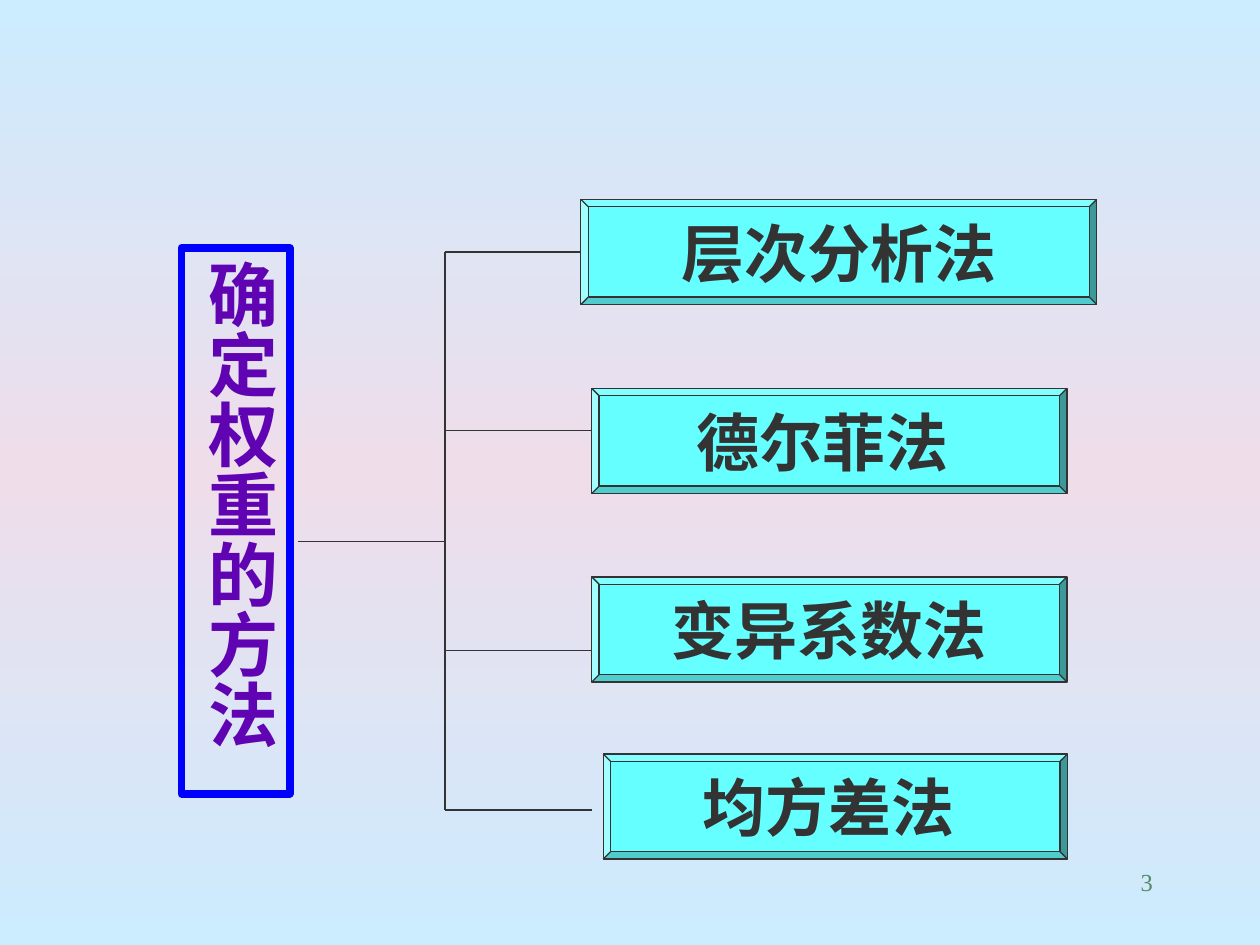
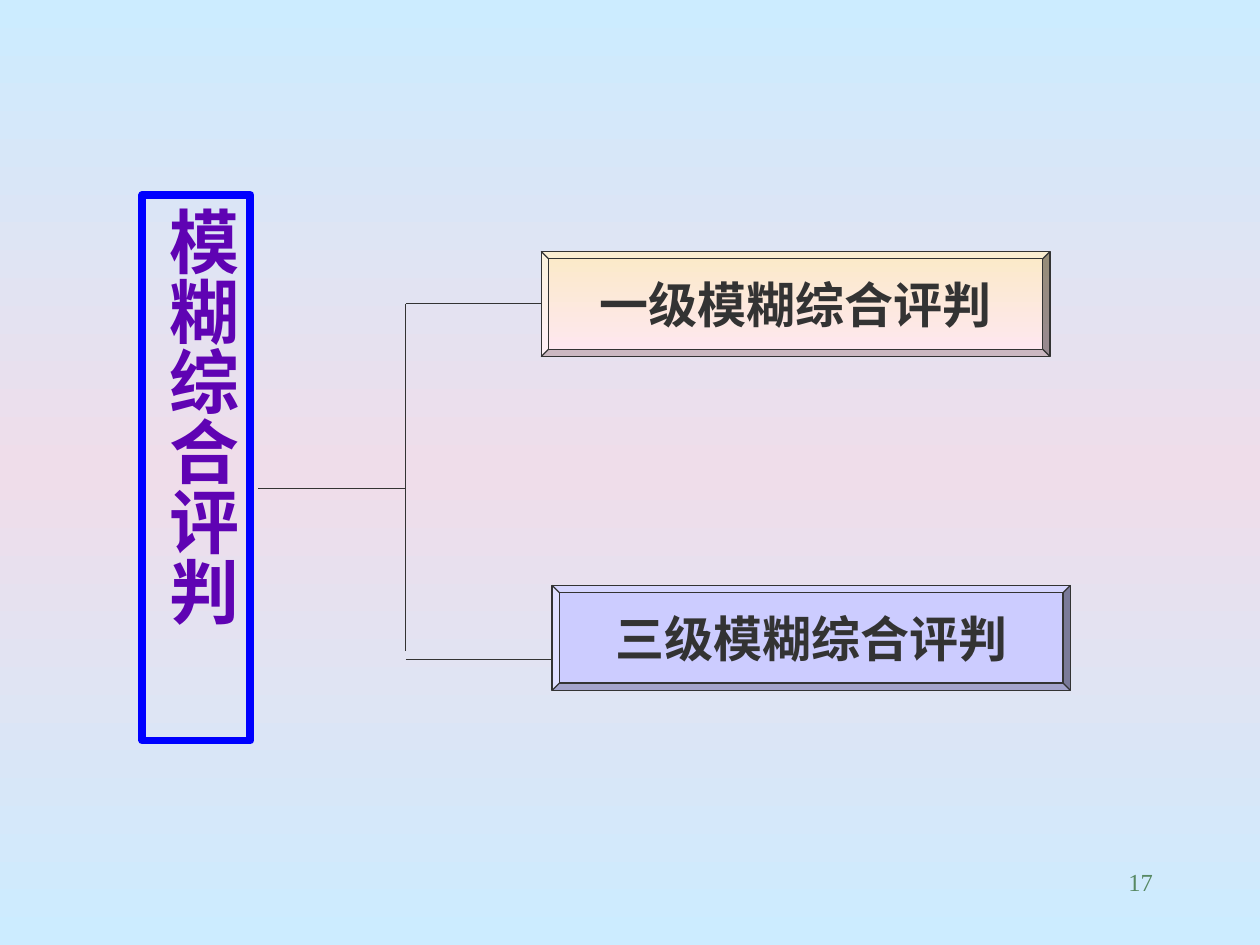
from copy import deepcopy
from lxml.etree import SubElement as Sub
from pptx import Presentation
from pptx.dml.color import RGBColor
from pptx.enum.shapes import MSO_CONNECTOR as Link, MSO_SHAPE as Shape
from pptx.enum.text import MSO_ANCHOR as Anchor, MSO_AUTO_SIZE as Fit, PP_ALIGN as Align
from pptx.oxml.ns import qn
from pptx.util import Cm, Pt

INK, BLUE, PURPLE, GREEN = "333333", "0000FF", "5F03B3", "578963"
SKY, ROSE = "CCECFF", "EFDDEA"
AQUA, LILAC, CREAM = "66FFFF", "CCCCFF", ("FBEAC7", "FEE7F2")
SANS, SERIF = "Noto Sans CJK SC", "Times New Roman"
BOX_H = 2.12


def paint(fill, tint, root):
    """Fill with one hex colour, or with evenly spaced hex stops from top to bottom."""
    if isinstance(tint, str):
        fill.solid()
        fill.fore_color.rgb = RGBColor.from_string(tint)
        return
    fill.gradient()
    fill.gradient_angle = 270
    stops = next(root.iter(qn("a:gsLst")))
    while len(stops) < len(tint):
        stops.append(deepcopy(stops[0]))
    for i, (stop, hue) in enumerate(zip(fill.gradient_stops, tint)):
        stop.color.rgb = RGBColor.from_string(hue)
        stop.position = i / (len(tint) - 1)


def write(frame, text, face, size, hue, align=Align.CENTER, bold=True):
    """Put one styled paragraph into a text frame."""
    para = frame.paragraphs[0]
    para.text = text
    para.alignment = align
    font = para.font
    font.name, font.size, font.bold = face, Pt(size), bold
    paint(font.fill, hue, None)
    props = next(para._p.iter(qn("a:defRPr")))
    Sub(props, qn("a:ea")).set("typeface", SANS)


# Each page: number, topic, topic corner, stem height, spine end, label font, branches
# Each branch: label, fill, left, top, width, arm height
pages = [
    ("3", "确定权重的方法", 3.66, 5, 10.92, 16.33, SANS, 36, [
        ("层次分析法", AQUA, 11.71, 4.02, 10.4, 5.08),
        ("德尔菲法 ", AQUA, 11.93, 7.83, 9.58, 8.68),
        ("变异系数法", AQUA, 11.93, 11.63, 9.58, 13.12),
        ("均方差法 ", AQUA, 12.16, 15.2, 9.36, 16.33),
    ]),
    ("17", "模糊综合评判", 2.87, 3.93, 9.85, 13.12, SERIF, 28, [
        ("一级模糊综合评判", CREAM, 10.91, 5.07, 10.26, 6.12),
        ("三级模糊综合评判", LILAC, 11.13, 11.8, 10.45, 13.29),
    ]),
]

deck = Presentation()
deck.slide_width, deck.slide_height = Cm(25.4), Cm(19.05)

for num, topic, left, top, stem, end, face, size, parts in pages:
    slide = deck.slides.add_slide(deck.slide_layouts[6])
    shapes = slide.shapes
    paint(slide.background.fill, (SKY, ROSE, SKY), slide.element)

    # Page number
    foot = shapes.add_textbox(Cm(18.2), Cm(17.35), Cm(5.29), Cm(1.27)).text_frame
    foot.word_wrap = True
    write(foot, num, SERIF, 14, GREEN, Align.RIGHT, False)

    # Branch boxes
    for label, tint, x, y, width, arm in parts:
        box = shapes.add_shape(Shape.BEVEL, Cm(x), Cm(y), Cm(width), Cm(BOX_H))
        box.adjustments[0] = 0.07
        box.shadow.inherit = False
        paint(box.fill, tint, box._element)
        paint(box.line.fill, INK, None)
        box.line.width = Pt(0.75)
        frame = box.text_frame
        frame.word_wrap = False
        frame.vertical_anchor = Anchor.MIDDLE
        write(frame, label, face, size, INK)

    # Upright topic
    panel = shapes.add_shape(Shape.RECTANGLE, Cm(left), Cm(top), Cm(2.18), Cm(11))
    panel.shadow.inherit = False
    panel.fill.background()
    paint(panel.line.fill, BLUE, None)
    panel.line.width = Pt(4.5)
    frame = panel.text_frame
    frame.word_wrap = True
    frame.auto_size = Fit.SHAPE_TO_FIT_TEXT
    frame.vertical_anchor = Anchor.TOP
    frame.margin_left = frame.margin_right = Cm(0.13)
    frame.margin_top = frame.margin_bottom = Cm(0.25)
    frame._txBody.bodyPr.set("vert", "eaVert")
    write(frame, topic, SANS, 40, PURPLE)

    # Stem, spine and arms
    spine = left + 5.31
    lines = [(left + 2.34, stem, spine, stem), (spine, parts[0][-1], spine, end)]
    for _, _, x, _, _, arm in parts:
        lines.append((spine, arm, min(x, spine + 2.96), arm))
    for ends in lines:
        line = shapes.add_connector(Link.STRAIGHT, *map(Cm, ends))
        paint(line.line.fill, INK, None)
        line.line.width = Pt(0.75)
        Sub(line._element.spPr, qn("a:effectLst"))

deck.save("out.pptx")
